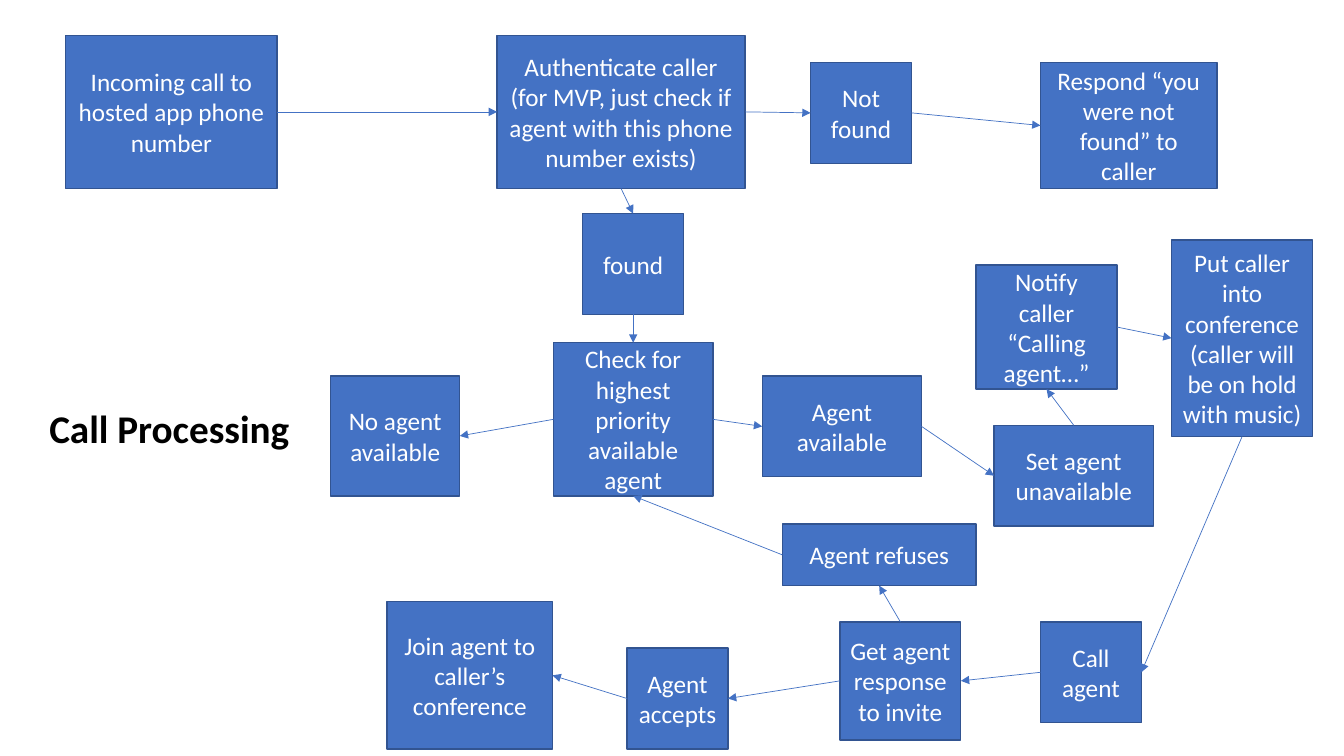
"""Build the call processing flowchart slide."""
from dataclasses import dataclass

from lxml.etree import SubElement
from pptx import Presentation
from pptx.dml.color import RGBColor
from pptx.enum.shapes import MSO_CONNECTOR as CONNECTOR, MSO_SHAPE as SHAPE
from pptx.enum.text import MSO_ANCHOR as ANCHOR, MSO_AUTO_SIZE as AUTO_SIZE, PP_ALIGN as ALIGN
from pptx.oxml.ns import qn
from pptx.util import Inches, Pt


@dataclass(frozen=True)
class Theme:
    """Colours, type sizes and line widths of the slide."""
    font: str = "Calibri"
    fill: RGBColor = RGBColor(0x44, 0x72, 0xC4)
    outline: RGBColor = RGBColor(0x32, 0x54, 0x91)
    light: RGBColor = RGBColor(0xFF, 0xFF, 0xFF)
    dark: RGBColor = RGBColor(0, 0, 0)
    step_size: int = 18
    title_size: int = 28
    outline_width: float = 1
    arrow_width: float = 0.5


THEME = Theme()
TOP, LEFT, BOTTOM, RIGHT = range(4)

STEPS = {
    "incoming": ("Incoming call to hosted app phone number", 0.65, 0.35, 2.1, 1.52),
    "authenticate": ("Authenticate caller (for MVP, just check if agent with this "
                     "phone number exists)", 4.93, 0.35, 2.46, 1.52),
    "not found": ("Not found", 8.04, 0.62, 1, 1),
    "found": ("found", 5.78, 2.12, 1, 1),
    "respond": ("Respond “you were not found” to caller", 10.32, 0.62, 1.75, 1.25),
    "check": ("Check for highest priority available agent", 5.49, 3.4, 1.58, 1.52),
    "available": ("Agent available", 7.56, 3.73, 1.58, 1),
    "no agent": ("No agent available", 3.28, 3.73, 1.28, 1.19),
    "unavailable": ("Set agent unavailable", 9.86, 4.22, 1.58, 1),
    "call": ("Call agent", 10.32, 6.17, 1, 1),
    "response": ("Get agent response to invite", 8.33, 6.17, 1.2, 1.17),
    "refuses": ("Agent refuses", 7.76, 5.2, 1.92, 0.61),
    "accepts": ("Agent accepts", 6.22, 6.43, 1, 1),
    "join": ("Join agent to caller’s conference", 3.84, 5.97, 1.64, 1.46),
    "notify": ("Notify caller “Calling agent…”", 9.68, 2.63, 1.4, 1.23),
    "conference": ("Put caller into conference (caller will be on hold with music)",
                   11.62, 2.38, 1.4, 1.95),
}

ARROWS = [
    ("incoming", RIGHT, "authenticate", LEFT),
    ("authenticate", RIGHT, "not found", LEFT),
    ("authenticate", BOTTOM, "found", TOP),
    ("not found", RIGHT, "respond", LEFT),
    ("found", BOTTOM, "check", TOP),
    ("check", RIGHT, "available", LEFT),
    ("check", LEFT, "no agent", RIGHT),
    ("available", RIGHT, "unavailable", LEFT),
    ("unavailable", TOP, "notify", BOTTOM),
    ("notify", RIGHT, "conference", LEFT),
    ("conference", BOTTOM, "call", RIGHT),
    ("call", LEFT, "response", RIGHT),
    ("response", TOP, "refuses", BOTTOM),
    ("refuses", LEFT, "check", BOTTOM),
    ("response", LEFT, "accepts", RIGHT),
    ("accepts", LEFT, "join", RIGHT),
]


def write_text(box, text, *, size, color, bold=False, align=ALIGN.LEFT, anchor=ANCHOR.TOP, wrap=True):
    """Write one formatted paragraph into a box."""
    frame = box.text_frame
    frame.word_wrap = wrap
    frame.vertical_anchor = anchor
    para = frame.paragraphs[0]
    para.alignment = align
    span = para.add_run()
    span.text = text
    span.font.name = THEME.font
    span.font.size = Pt(size)
    span.font.bold = bold
    span.font.color.rgb = color


def add_step(page, text, *bounds):
    """Add one process step and return its box."""
    box = page.shapes.add_shape(SHAPE.RECTANGLE, *map(Inches, bounds))
    box.shadow.inherit = False
    box.fill.solid()
    box.fill.fore_color.rgb = THEME.fill
    box.line.color.rgb = THEME.outline
    box.line.width = Pt(THEME.outline_width)
    write_text(box, text, size=THEME.step_size, color=THEME.light,
               align=ALIGN.CENTER, anchor=ANCHOR.MIDDLE)
    return box


def add_arrow(page, source, source_side, target, target_side):
    """Connect two steps with an arrow pointing at the target."""
    arrow = page.shapes.add_connector(CONNECTOR.STRAIGHT, 0, 0, 0, 0)
    arrow.begin_connect(source, source_side)
    arrow.end_connect(target, target_side)
    arrow.line.color.rgb = THEME.fill
    arrow.line.width = Pt(THEME.arrow_width)
    SubElement(arrow.line._get_or_add_ln(), qn("a:tailEnd"), type="triangle")
    SubElement(arrow._element.spPr, qn("a:effectLst"))


def add_title(page, text, *bounds):
    """Add the slide title as a box that grows with its text."""
    box = page.shapes.add_textbox(*map(Inches, bounds))
    write_text(box, text, size=THEME.title_size, color=THEME.dark, bold=True, wrap=False)
    box.text_frame.auto_size = AUTO_SIZE.SHAPE_TO_FIT_TEXT


def main():
    """Build and save the deck."""
    deck = Presentation()
    deck.slide_width, deck.slide_height = Inches(13.33), Inches(7.5)
    page = deck.slides.add_slide(deck.slide_layouts[6])
    boxes = {name: add_step(page, *step) for name, step in STEPS.items()}
    for source, source_side, target, target_side in ARROWS:
        add_arrow(page, boxes[source], source_side, boxes[target], target_side)
    add_title(page, "Call Processing", 0.39, 3.96, 2.61, 0.57)
    deck.save("out.pptx")


main()
